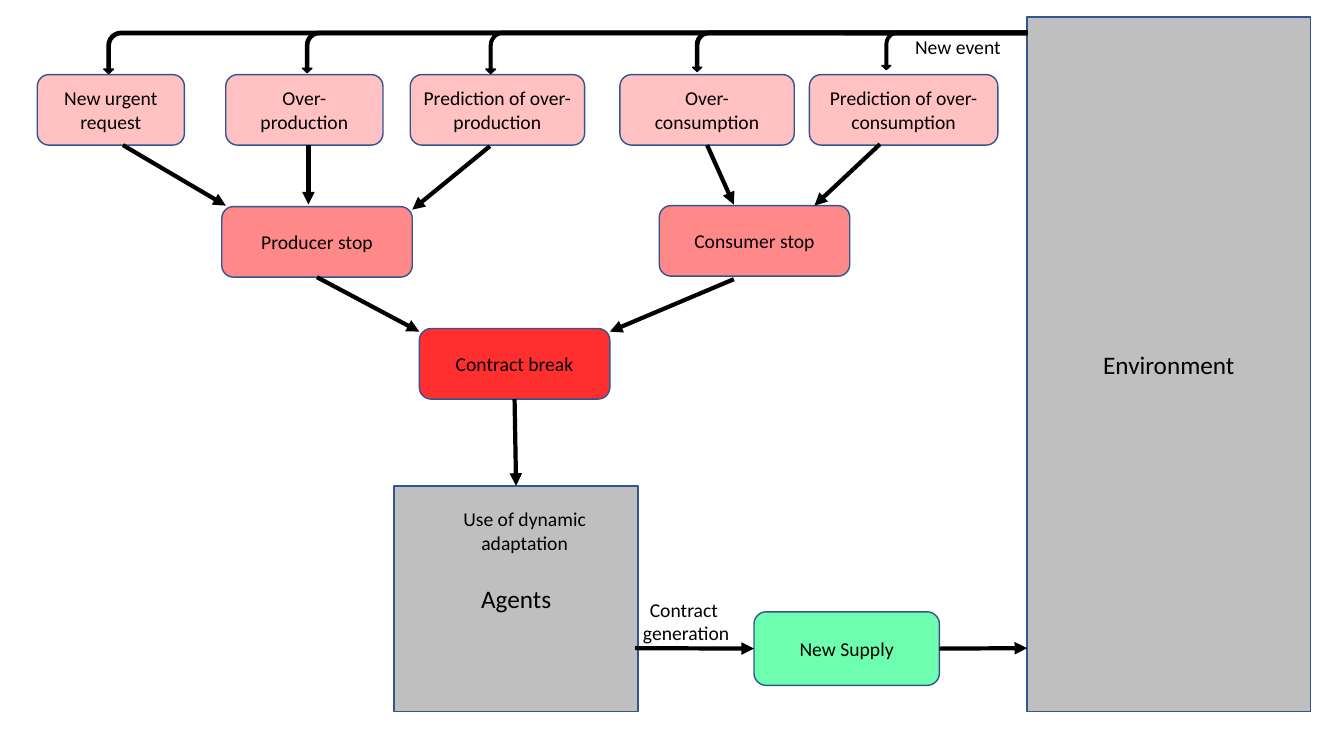
from lxml.etree import SubElement
from pptx import Presentation
from pptx.dml.color import RGBColor
from pptx.enum.shapes import MSO_CONNECTOR, MSO_SHAPE
from pptx.enum.text import MSO_ANCHOR, MSO_AUTO_SIZE, PP_ALIGN
from pptx.oxml.ns import qn
from pptx.util import Inches, Pt

# Grid of square cells, a tenth of an inch each
CELL = Inches(0.1)
COLUMNS, ROWS = 133.33, 75

COLOURS = {
    "ink": "000000",
    "outline": "325491",
    "block": "BFBFBF",
    "event": "FFC1C1",
    "stop": "FF8989",
    "break": "FF2F2F",
    "supply": "6DFFAF",
}
TOP, LEFT, BOTTOM, RIGHT = range(4)

# Event boxes: name, text, left, width
EVENT_TOP, EVENT_HEIGHT = 7.4, 7
EVENTS = [
    ("urgent", "New urgent request", 3.7, 14.6),
    ("production", "Over-production", 22.4, 15.6),
    ("production forecast", "Prediction of over-production", 40.7, 17.3),
    ("consumption", "Over-consumption", 61.5, 17.3),
    ("consumption forecast", "Prediction of over-consumption", 80.3, 18.7),
]

# Bent arrows from the environment: left, height, shaft share
BRANCH_TOP, BRANCH_RIGHT = 3.1, 101.9
BRANCHES = [
    (10.3, 4.2, 0.079),
    (30, 4.1, 0.079),
    (48.2, 4.2, 0.063),
    (68.7, 4, 0.082),
    (87.5, 3.8, 0.066),
]
HEAD_SHARES = (0.115, 0.106, 0.336)


def cells(*counts):
    return [round(count * CELL) for count in counts]


def colour(name):
    return RGBColor.from_string(COLOURS[name])


def write(shape, text, size=14, align=PP_ALIGN.CENTER, **frame_format):
    frame = shape.text_frame
    for name, value in frame_format.items():
        setattr(frame, name, value)
    frame.text = text
    font_format = {"name": "Calibri", "size": Pt(size)}
    for para in frame.paragraphs:
        para.alignment = align
        for span in para.runs:
            for name, value in font_format.items():
                setattr(span.font, name, value)
            span.font.color.rgb = colour("ink")


def add_filled(page, kind, place, fill, line):
    shape = page.shapes.add_shape(kind, *cells(*place))
    shape.shadow.inherit = False
    shape.fill.solid()
    shape.fill.fore_color.rgb = colour(fill)
    shape.line.color.rgb = colour(line)
    shape.line.width = Pt(1)
    return shape


def add_box(page, text, place, fill, kind=MSO_SHAPE.ROUNDED_RECTANGLE, size=14):
    box = add_filled(page, kind, place, fill, "outline")
    write(box, text, size, vertical_anchor=MSO_ANCHOR.MIDDLE, word_wrap=True)
    return box


def add_label(page, text, place, align=PP_ALIGN.CENTER, wrap=True):
    label = page.shapes.add_textbox(*cells(*place))
    write(label, text, align=align, word_wrap=wrap,
          auto_size=MSO_AUTO_SIZE.SHAPE_TO_FIT_TEXT)


def add_branch(page, left, height, shaft):
    # The arrow is turned a quarter, so its own width is the drawn height
    length = BRANCH_RIGHT - left
    middle_x, middle_y = left + length / 2, BRANCH_TOP + height / 2
    place = (middle_x - height / 2, middle_y - length / 2, height, length)
    arrow = add_filled(page, MSO_SHAPE.BENT_ARROW, place, "ink", "ink")
    arrow.rotation = 90
    arrow.element.spPr.find(qn("a:xfrm")).set("flipV", "1")
    for index, share in enumerate((shaft, *HEAD_SHARES)):
        arrow.adjustments[index] = share


def add_arrow(page, start, end, begin_side=None, end_side=None):
    arrow = page.shapes.add_connector(
        MSO_CONNECTOR.STRAIGHT, *cells(*start, *end))
    arrow.line.color.rgb = colour("ink")
    arrow.line.width = Pt(3)
    SubElement(arrow.line._get_or_add_ln(), qn("a:tailEnd"), type="triangle")
    SubElement(arrow.element.spPr, qn("a:effectLst"))
    if begin_side:
        arrow.begin_connect(*begin_side)
    if end_side:
        arrow.end_connect(*end_side)


def main():
    deck = Presentation()
    deck.slide_width, deck.slide_height = cells(COLUMNS, ROWS)
    page = deck.slides.add_slide(deck.slide_layouts[6])

    # Agents and environment
    agents = add_box(page, "Agents", (39.1, 48.2, 24.2, 22.4), "block",
                     MSO_SHAPE.RECTANGLE, 18)
    add_box(page, "Environment", (101.9, 1.7, 28.1, 68.9), "block",
            MSO_SHAPE.RECTANGLE, 18)

    # Events, stops, contract break and supply
    events = {name: add_box(page, text, (left, EVENT_TOP, width, EVENT_HEIGHT), "event")
              for name, text, left, width in EVENTS}
    producer = add_box(page, "Producer stop", (22, 20.5, 18.9, 7), "stop")
    add_box(page, "Consumer stop", (65.4, 20.4, 18.9, 7), "stop")
    contract = add_box(page, "Contract break", (41.6, 32.6, 18.9, 7), "break")
    supply = add_box(page, "New Supply", (74.8, 60.7, 18.4, 7.3), "supply")

    # Arrows from events to stops
    add_arrow(page, (12.2, 14.4), (22.4, 20.4))
    add_arrow(page, (30.6, 14.4), (30.6, 20.3))
    add_arrow(page, (48.6, 14.5), (40.9, 20.8))
    add_arrow(page, (70.2, 14.4), (72.8, 20.3), (events["consumption"], BOTTOM))
    add_arrow(page, (87.3, 14.3), (80.8, 20.4))

    # Arrows from stops through the break to agents and supply
    add_arrow(page, (31.4, 27.5), (41.6, 32.9), (producer, BOTTOM))
    add_arrow(page, (72.8, 27.7), (60.5, 32.9))
    add_arrow(page, (51, 39.6), (51.2, 48.2), (contract, BOTTOM), (agents, TOP))
    add_arrow(page, (63, 64.3), (74.8, 64.3), end_side=(supply, LEFT))
    add_arrow(page, (93.2, 64.3), (101.9, 64.3), (supply, RIGHT))

    # Branches from the environment to the events
    for branch in BRANCHES:
        add_branch(page, *branch)

    # Labels
    add_label(page, "New event", (89.8, 3, 10.6, 3.4), PP_ALIGN.LEFT, wrap=False)
    add_label(page, "Contract\n generation", (53.8, 58.8, 28.1, 5.7))
    add_label(page, "Use of dynamic adaptation", (40.7, 49.8, 22.7, 5.7))

    deck.save("out.pptx")


if __name__ == "__main__":
    main()
